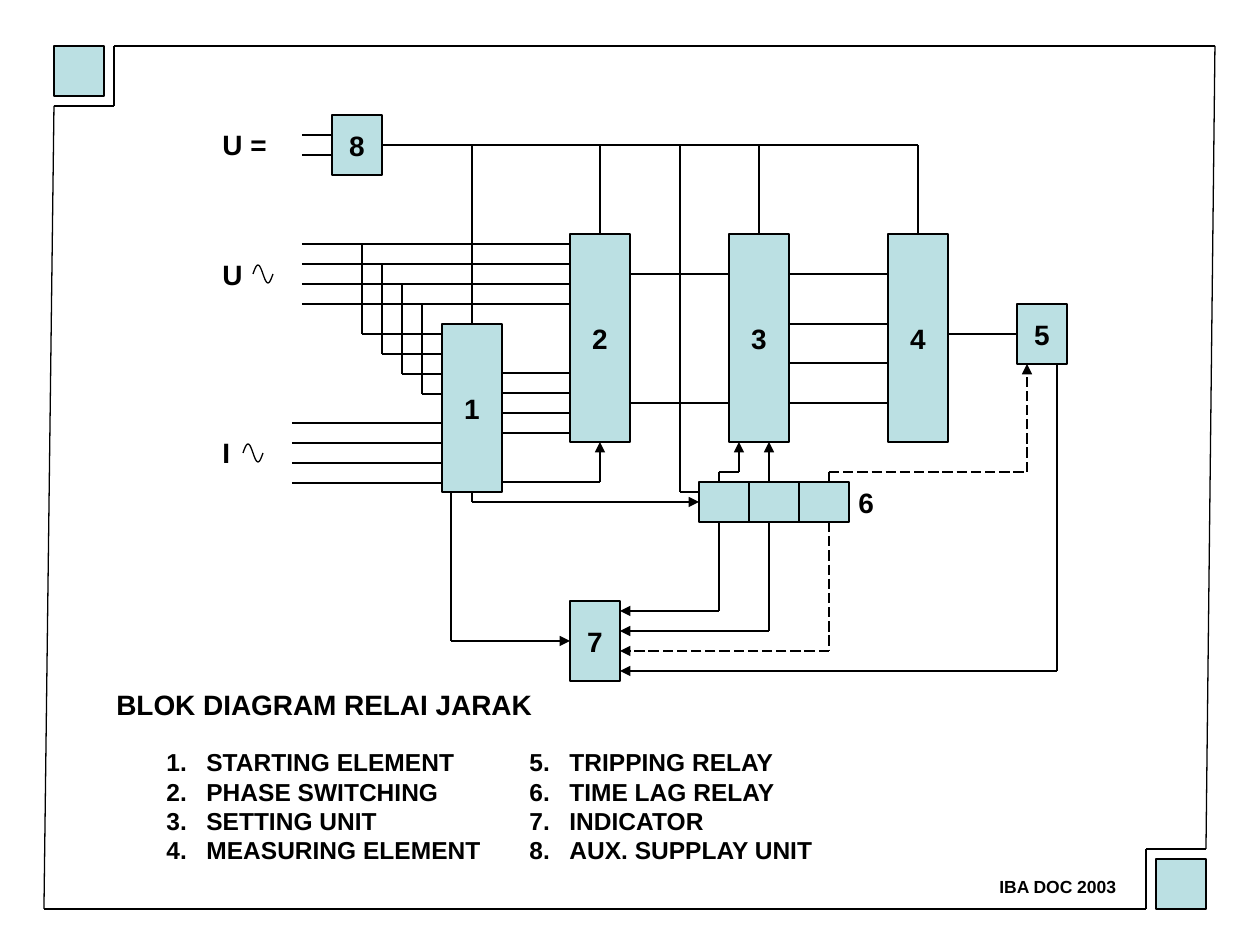
"""Build a slide with the block diagram of a distance relay."""
import math

from lxml import etree
from pptx import Presentation
from pptx.dml.color import RGBColor
from pptx.enum.dml import MSO_LINE
from pptx.enum.shapes import MSO_CONNECTOR, MSO_SHAPE
from pptx.enum.text import MSO_ANCHOR, PP_ALIGN
from pptx.oxml.ns import qn
from pptx.util import Emu, Pt

RECT = MSO_SHAPE.RECTANGLE
STRAIGHT = MSO_CONNECTOR.STRAIGHT
LONG_DASH = MSO_LINE.LONG_DASH
MIDDLE = MSO_ANCHOR.MIDDLE
CENTER = PP_ALIGN.CENTER
TOP, LEFT, BOTTOM, RIGHT = range(4)
PX_PER_INCH = 126
BLACK = "000000"
TEAL = "BBE0E3"
BLOCKS = {
    "1": (442, 324, 60, 168),
    "2": (570, 234, 60, 208),
    "3": (729, 234, 60, 208),
    "4": (888, 234, 60, 208),
    "5": (1017, 304, 50, 60),
    "7": (570, 601, 50, 80),
    "8": (332, 115, 50, 60),
}
TIMER = (699, 482, 150, 40)
CORNERS = [(54, 46, 50, 50), (1156, 859, 50, 50)]
FRAME = [(114, 46), (1215, 46), (1206, 849), (1146, 849), (1146, 909),
         (44, 909), (54, 106), (114, 106), (114, 46)]
LABELS = [
    ("U =", (210, 121, 70, 47), 16),
    ("U", (210, 251, 46, 47), 16),
    ("I", (210, 429, 33, 47), 16),
    ("6", (846, 479, 40, 47), 16),
    ("BLOK DIAGRAM RELAI JARAK", (104, 681, 441, 47), 16),
    ("IBA DOC 2003", (987, 870, 142, 34), 10),
]
ELEMENTS = ["STARTING ELEMENT", "PHASE SWITCHING", "SETTING UNIT", "MEASURING ELEMENT",
            "TRIPPING RELAY", "TIME LAG RELAY", "INDICATOR", "AUX. SUPPLAY UNIT"]


def px(n):
    """Turn pixels into EMU."""
    return Emu(round(n * 914400 / PX_PER_INCH))


def rgb(value):
    """Turn a hex string into a colour."""
    return RGBColor.from_string(value)


def style_line(line, width=0.75):
    """Give a line its colour and width in points."""
    line.color.rgb = rgb(BLACK)
    line.width = Pt(width)


def style_text(p, size):
    """Format all runs of a paragraph."""
    for r in p.runs:
        r.font.name = "Arial"
        r.font.size = Pt(size)
        r.font.bold = True
        r.font.color.rgb = rgb(BLACK)


def add_block(s, box, text=""):
    """Add an outlined block with a centred number."""
    sp = s.shapes.add_shape(RECT, *map(px, box))
    sp.shadow.inherit = False
    sp.fill.solid()
    sp.fill.fore_color.rgb = rgb(TEAL)
    style_line(sp.line)
    tf = sp.text_frame
    tf.word_wrap = False
    tf.vertical_anchor = MIDDLE
    tf.text = text
    tf.paragraphs[0].alignment = CENTER
    style_text(tf.paragraphs[0], 16)
    return sp


def add_wire(s, points, start=None, end=None, arrow=False, dash=False, width=0.75):
    """Add straight segments through points, joined to (block, site) ends if given."""
    segments = []
    for a, b in zip(points, points[1:]):
        c = s.shapes.add_connector(STRAIGHT, *map(px, a + b))
        style_line(c.line, width)
        if dash:
            c.line.dash_style = LONG_DASH
        etree.SubElement(c._element.spPr, qn("a:effectLst"))
        segments.append(c)
    if start:
        segments[0].begin_connect(*start)
    if end:
        segments[-1].end_connect(*end)
    if arrow:
        ln = segments[-1].line._get_or_add_ln()
        etree.SubElement(ln, qn("a:tailEnd"), type="triangle")


def add_rows(s, left, right, ys):
    """Add parallel horizontal wires."""
    for y in ys:
        add_wire(s, [(left, y), (right, y)])


def add_label(s, text, box, size):
    """Add a one-line label."""
    tf = s.shapes.add_textbox(*map(px, box)).text_frame
    tf.word_wrap = False
    tf.text = text
    style_text(tf.paragraphs[0], size)


def add_list(s, items, box, first):
    """Add a numbered list that starts at a given number."""
    tf = s.shapes.add_textbox(*map(px, box)).text_frame
    tf.word_wrap = True
    tf.text = "\n".join(items)
    for p in tf.paragraphs:
        style_text(p, 14)
        pPr = p._p.get_or_add_pPr()
        pPr.set("marL", str(px(40)))
        pPr.set("indent", str(-px(40)))
        etree.SubElement(pPr, qn("a:buFont"), typeface="Arial")
        etree.SubElement(pPr, qn("a:buAutoNum"), type="arabicPeriod", startAt=str(first))


def add_sine(s, left, middle):
    """Add one period of an alternating-current wave."""
    points = [(px(left + i), px(middle - 9 * math.sin(math.pi * i / 10)))
              for i in range(21)]
    builder = s.shapes.build_freeform(*points[0])
    builder.add_line_segments(points[1:], close=False)
    sp = builder.convert_to_shape()
    sp.shadow.inherit = False
    sp.fill.background()
    style_line(sp.line)


def add_supply(s, blocks):
    """Add the auxiliary supply bus and its drops."""
    add_rows(s, 302, 332, (135, 155))
    add_wire(s, [(382, 145), (918, 145)], start=(blocks["8"], RIGHT), width=1.5)
    for name, x, y in (("1", 472, 324), ("2", 600, 234), ("3", 759, 234), ("4", 918, 234)):
        add_wire(s, [(x, y), (x, 145)], start=(blocks[name], TOP))
    add_wire(s, [(680, 145), (680, 492), (699, 492)])


def add_signals(s, blocks):
    """Add the measuring inputs and the links between blocks 1 to 5."""
    for i in range(4):
        x, y = 362 + 20 * i, 244 + 20 * i
        add_wire(s, [(302, y), (570, y)])
        add_wire(s, [(x, y), (x, y + 90), (442, y + 90)])
    add_rows(s, 292, 442, range(423, 484, 20))
    add_rows(s, 502, 570, range(373, 434, 20))
    add_rows(s, 630, 729, (274, 403))
    add_rows(s, 789, 888, (274, 324, 363, 403))
    add_wire(s, [(948, 334), (1017, 334)], end=(blocks["5"], LEFT))


def add_timing(s, blocks, timer):
    """Add the arrows to and from the time lag relay and the indicator."""
    start = blocks["1"]
    add_wire(s, [(451, 492), (451, 641), (570, 641)], end=(blocks["7"], LEFT), arrow=True)
    add_wire(s, [(472, 492), (472, 502), (699, 502)], (start, BOTTOM), (timer, LEFT), True)
    add_wire(s, [(502, 482), (600, 482), (600, 442)], end=(blocks["2"], BOTTOM), arrow=True)
    add_wire(s, [(719, 482), (719, 472), (739, 472), (739, 442)], arrow=True)
    add_wire(s, [(769, 482), (769, 442)], arrow=True)
    add_wire(s, [(829, 482), (829, 472)])
    add_wire(s, [(829, 472), (1027, 472), (1027, 364)], arrow=True, dash=True)
    returns = [(719, 522, False), (769, 522, False), (829, 522, True), (1057, 364, False)]
    for i, (x, top, dash) in enumerate(returns):
        y = 611 + 20 * i
        add_wire(s, [(x, top), (x, y), (620, y)], arrow=True, dash=dash)


def main():
    """Build and save the slide."""
    prs = Presentation()
    prs.slide_width, prs.slide_height = px(1260), px(945)
    s = prs.slides.add_slide(prs.slide_layouts[6])
    add_wire(s, FRAME)
    for box in CORNERS:
        add_block(s, box)
    blocks = {name: add_block(s, box, name) for name, box in BLOCKS.items()}
    timer = add_block(s, TIMER)
    for x in (749, 799):
        add_wire(s, [(x, 482), (x, 522)])
    add_supply(s, blocks)
    add_signals(s, blocks)
    add_timing(s, blocks, timer)
    for label in LABELS:
        add_label(s, *label)
    add_sine(s, 253, 274)
    add_sine(s, 243, 453)
    add_list(s, ELEMENTS[:4], (154, 741, 360, 131), 1)
    add_list(s, ELEMENTS[4:], (517, 741, 360, 131), 5)
    prs.save("out.pptx")


if __name__ == "__main__":
    main()
